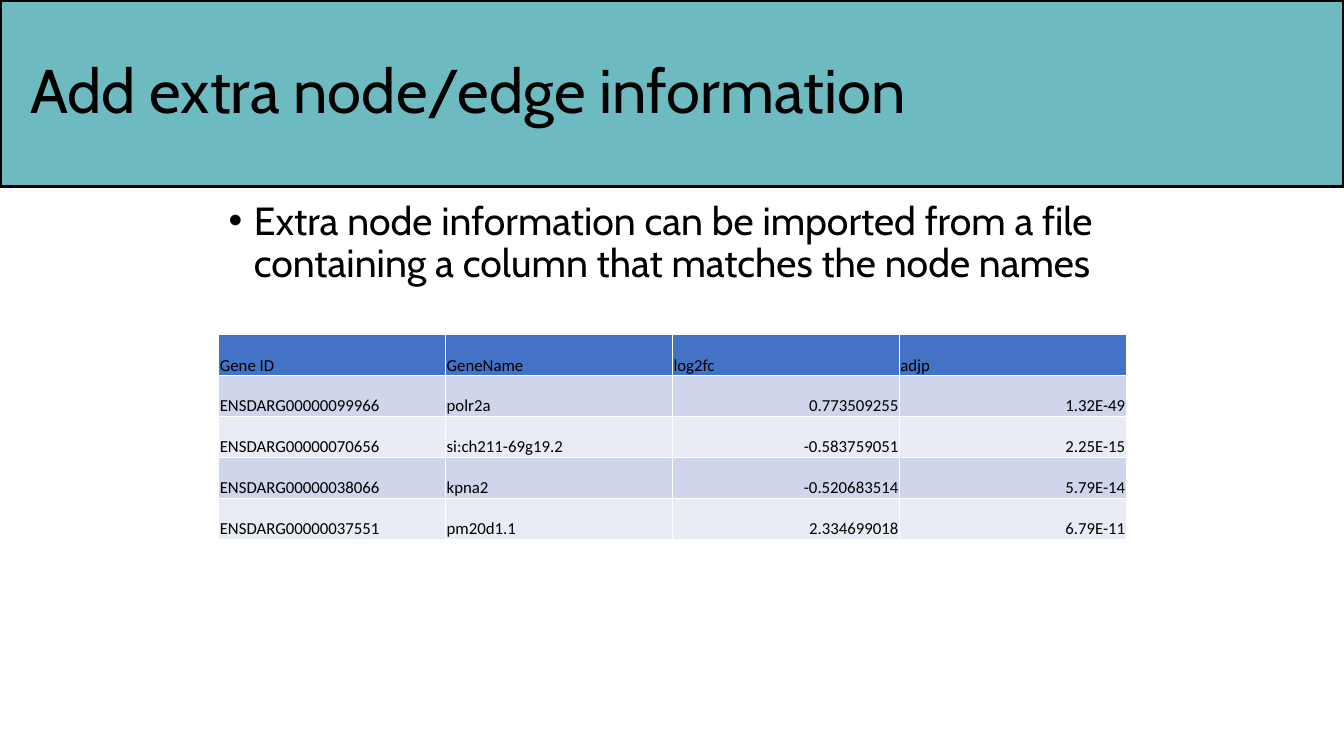
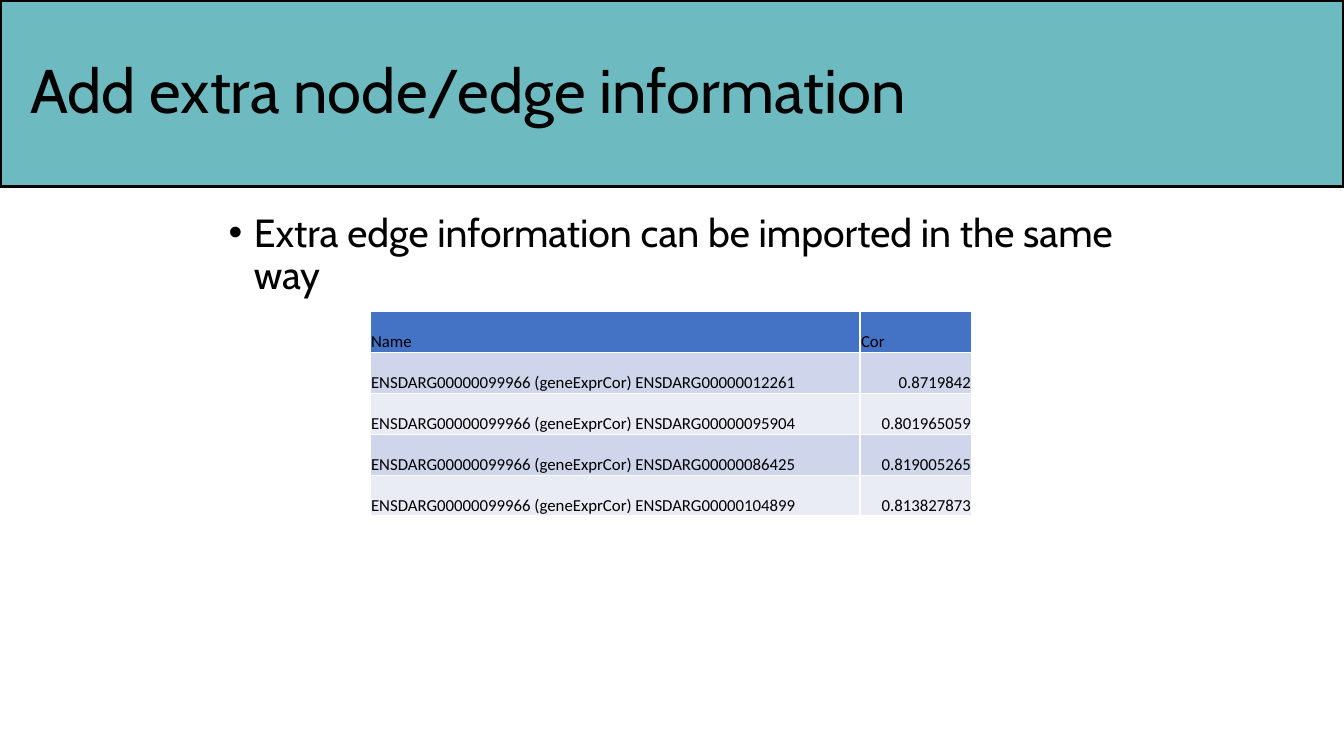
import pptx
import pptx.util
import pptx.dml.color
import pptx.enum.shapes
import pptx.enum.text
import pptx.oxml.ns
import lxml.etree

Inches = pptx.util.Inches
Pt = pptx.util.Pt
ANCHOR = pptx.enum.text.MSO_ANCHOR
ALIGN = pptx.enum.text.PP_ALIGN

TEAL, BLUE, BANDS = "6DBAC1", "4472C4", ("CFD5EA", "E9EBF5")
BLACK, WHITE = "000000", "FFFFFF"
WIDE, HIGH, BAND = 13.33, 7.5, 1.85
TITLE = "Add extra node/edge information"


def hue(code):
    """Turn a hex string into a colour."""
    return pptx.dml.color.RGBColor.from_string(code)


def child(node, tag, **attrs):
    """Append a drawing element to a node."""
    return lxml.etree.SubElement(node, pptx.oxml.ns.qn(tag), **attrs)


def write(para, text, size, face):
    """Add one run of black text to a paragraph."""
    run = para.add_run()
    run.text = text
    font = run.font
    font.size, font.name, font.bold = Pt(size), face, False
    font.color.rgb = hue(BLACK)


def header(slide, box):
    """Draw the title band in its box."""
    kind = pptx.enum.shapes.MSO_SHAPE.RECTANGLE
    band = slide.shapes.add_shape(kind, *map(Inches, box))
    band.shadow.inherit = False
    band.fill.solid()
    band.fill.fore_color.rgb = hue(TEAL)
    band.line.color.rgb = hue(BLACK)
    band.line.width = Pt(2.25)
    frame = band.text_frame
    frame.word_wrap = True
    frame.vertical_anchor = ANCHOR.MIDDLE
    para = frame.paragraphs[0]
    para.alignment = ALIGN.LEFT
    para.line_spacing = 0.9
    para._p.get_or_add_pPr().set("marL", str(Inches(0.2)))
    write(para, TITLE, 44, "Cabin")


def bullet(slide, box, text):
    """Place a bulleted statement in its box."""
    body = slide.shapes.add_textbox(*map(Inches, box))
    frame = body.text_frame
    frame.word_wrap = True
    para = frame.paragraphs[0]
    props = para._p.get_or_add_pPr()
    props.set("marL", str(Inches(0.25)))
    props.set("indent", str(Inches(-0.25)))
    child(props, "a:buFont", typeface="Arial")
    child(props, "a:buChar", char="•")
    para.line_spacing = 0.9
    write(para, text, 28, "Cabin")


def border(cell):
    """Rule a cell in white on all sides."""
    props = cell._tc.get_or_add_tcPr()
    for side in "LRTB":
        line = child(props, "a:ln" + side, w=str(Pt(1)))
        child(child(line, "a:solidFill"), "a:srgbClr", val=WHITE)


def grid(slide, box, cols, rows, names):
    """Fill a table, right-aligning values after the name columns."""
    frame = slide.shapes.add_table(len(rows), len(cols), *map(Inches, box))
    table = frame.table
    for col, width in zip(table.columns, cols):
        col.width = Inches(width)
    for r, row in enumerate(rows):
        for c, text in enumerate(row):
            cell = table.cell(r, c)
            cell.margin_left = cell.margin_right = Inches(0.01)
            cell.margin_top, cell.margin_bottom = Inches(0.01), 0
            cell.vertical_anchor = ANCHOR.BOTTOM
            border(cell)
            cell.fill.solid()
            cell.fill.fore_color.rgb = hue(BANDS[(r - 1) % 2] if r else BLUE)
            para = cell.text_frame.paragraphs[0]
            right = r > 0 and c >= names
            para.alignment = ALIGN.RIGHT if right else ALIGN.LEFT
            write(para, text, 12, "Calibri")


def page(deck, text, top, spot, cols, rows, names):
    """Build a slide with a title band, a bullet and a table."""
    slide = deck.slides.add_slide(deck.slide_layouts[6])
    header(slide, (0, 0, WIDE, BAND))
    bullet(slide, (2.17, top, 9, 3.04), text)
    grid(slide, (*spot, sum(cols), 2.03), cols, rows, names)


def main():
    """Build and save the deck."""
    deck = pptx.Presentation()
    deck.slide_width, deck.slide_height = Inches(WIDE), Inches(HIGH)
    nodes = [
        ("Gene ID", "GeneName", "log2fc", "adjp"),
        ("ENSDARG00000099966", "polr2a", "0.773509255", "1.32E-49"),
        ("ENSDARG00000070656", "si:ch211-69g19.2", "-0.583759051", "2.25E-15"),
        ("ENSDARG00000038066", "kpna2", "-0.520683514", "5.79E-14"),
        ("ENSDARG00000037551", "pm20d1.1", "2.334699018", "6.79E-11"),
    ]
    pairs = [
        ("ENSDARG00000012261", "0.8719842"),
        ("ENSDARG00000095904", "0.801965059"),
        ("ENSDARG00000086425", "0.819005265"),
        ("ENSDARG00000104899", "0.813827873"),
    ]
    edges = [("Name", "Cor")]
    edges += [(f"ENSDARG00000099966 (geneExprCor) {gene}", cor) for gene, cor in pairs]
    page(deck, "Extra node information can be imported from a file "
         "containing a column that matches the node names",
         1.95, (2.17, 3.32), [2.25] * 4, nodes, 2)
    page(deck, "Extra edge information can be imported in the same way",
         2.07, (3.67, 3.09), [4.86, 1.11], edges, 1)
    deck.save("out.pptx")


if __name__ == "__main__":
    main()
